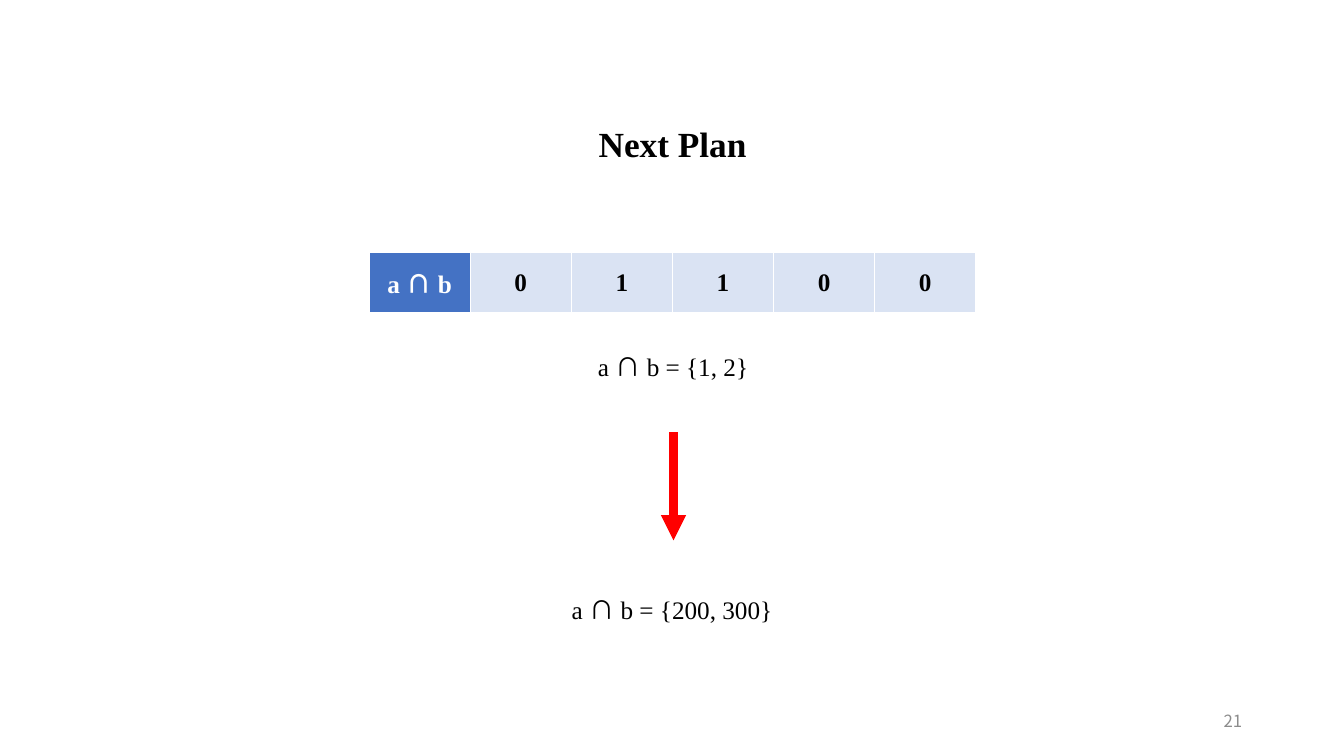
import pptx
import pptx.dml.color
import pptx.enum.shapes
import pptx.enum.text
import pptx.oxml
import pptx.oxml.ns
import pptx.util

Inches = pptx.util.Inches
Pt = pptx.util.Pt
RGBColor = pptx.dml.color.RGBColor
ALIGN = pptx.enum.text.PP_ALIGN
MIDDLE = pptx.enum.text.MSO_ANCHOR.MIDDLE

BLACK = RGBColor(0x00, 0x00, 0x00)
WHITE = RGBColor(0xFF, 0xFF, 0xFF)
RED = RGBColor(0xFF, 0x00, 0x00)
GRAY = RGBColor(0x8C, 0x8C, 0x8C)
HEADER_BLUE = RGBColor(0x44, 0x72, 0xC4)
PALE_BLUE = RGBColor(0xDA, 0xE3, 0xF3)

SERIF = "Times New Roman"
SANS = "Noto Sans CJK KR"
DRAWING_NS = pptx.oxml.ns.nsdecls("a")
WIDTH, HEIGHT = Inches(13.33), Inches(7.5)


def write(frame, text, size=18, color=BLACK, bold=False, align=ALIGN.CENTER, font=SERIF):
    """Fill a text frame, setting each intersection sign in the sans font."""
    paragraph = frame.paragraphs[0]
    paragraph.alignment = align
    before, sign, after = text.partition("∩")
    for part, face in ((before, font), (sign, SANS), (after, font)):
        if part:
            run = paragraph.add_run()
            run.text = part
            run.font.name = face
            run.font.size = Pt(size)
            run.font.bold = bold
            run.font.color.rgb = color
            run.font._element.append(
                pptx.oxml.parse_xml(f'<a:ea {DRAWING_NS} typeface="{face}"/>'))
    return paragraph


deck = pptx.Presentation()
deck.slide_width, deck.slide_height = WIDTH, HEIGHT
slide = deck.slides.add_slide(deck.slide_layouts[5])

# Title
title = slide.shapes.title
title.left, title.top = Inches(2.74), Inches(1.24)
title.width, title.height = Inches(7.86), Inches(0.44)
title.text_frame.vertical_anchor = MIDDLE
title.text_frame.auto_size = pptx.enum.text.MSO_AUTO_SIZE.NONE
write(title.text_frame, "Next Plan", size=25.2, bold=True).line_spacing = 0.8

# Bit vector of the intersection
bits = ["a ∩ b", "0", "1", "1", "0", "0"]
bit_table = slide.shapes.add_table(
    1, len(bits), Inches(3.66), Inches(2.5), Inches(6.02), Inches(0.61)).table
for cell, bit in zip(bit_table.iter_cells(), bits):
    is_label = bit == bits[0]
    write(cell.text_frame, bit, bold=True, color=WHITE if is_label else BLACK)
    cell.vertical_anchor = MIDDLE
    cell.fill.solid()
    cell.fill.fore_color.rgb = HEADER_BLUE if is_label else PALE_BLUE
    borders = (("lnL", 1), ("lnR", 1), ("lnT", 1), ("lnB", 3))
    for position, (side, points) in enumerate(borders):
        cell._tc.tcPr.insert(position, pptx.oxml.parse_xml(
            f'<a:{side} {DRAWING_NS} w="{Pt(points)}"><a:solidFill>'
            f'<a:srgbClr val="{WHITE}"/></a:solidFill></a:{side}>'))

# Arrow from positions to values
arrow = slide.shapes.add_connector(
    pptx.enum.shapes.MSO_CONNECTOR.STRAIGHT,
    Inches(6.68), Inches(4.29), Inches(6.68), Inches(5.36))
arrow.line.color.rgb = RED
arrow.line.width = Pt(6)
arrow.line._get_or_add_ln().append(
    pptx.oxml.parse_xml(f'<a:tailEnd {DRAWING_NS} type="triangle"/>'))
arrow._element.spPr.append(pptx.oxml.parse_xml(f"<a:effectLst {DRAWING_NS}/>"))

# Sets above and below the arrow, then the page number
page_format = dict(size=12, color=GRAY, align=ALIGN.RIGHT, font=SANS)
labels = [
    ("a ∩ b = {1, 2}", 5.22, 3.44, 2.91, {}),
    ("a ∩ b = {200, 300}", 5.21, 5.85, 2.91, {}),
    ("21", 9.42, 6.95, 3, page_format),
]
for text, left, top, width, text_format in labels:
    frame = slide.shapes.add_textbox(
        Inches(left), Inches(top), Inches(width), Inches(0.4)).text_frame
    frame.word_wrap = True
    frame.vertical_anchor = MIDDLE
    write(frame, text, **text_format)

deck.save("out.pptx")
